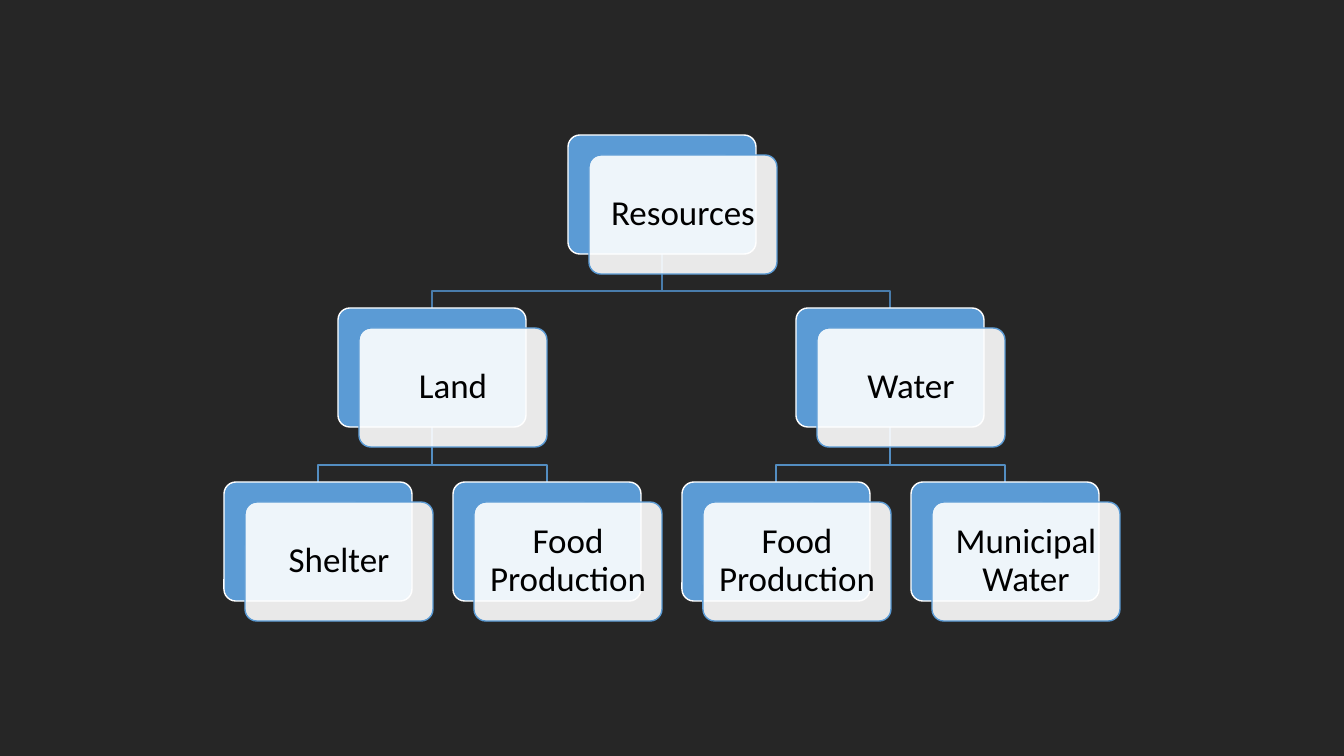
from lxml import etree
from pptx import Presentation
from pptx.dml.color import RGBColor
from pptx.enum.shapes import MSO_SHAPE
from pptx.enum.text import MSO_ANCHOR, PP_ALIGN
from pptx.oxml.ns import qn
from pptx.util import Pt

ROUNDED = MSO_SHAPE.ROUNDED_RECTANGLE
MIDDLE = MSO_ANCHOR.MIDDLE
CENTER = PP_ALIGN.CENTER

BACKGROUND = RGBColor(0x26, 0x26, 0x26)
BLUE = RGBColor(0x5B, 0x9B, 0xD5)
WHITE = RGBColor(0xFF, 0xFF, 0xFF)
BLACK = RGBColor(0x00, 0x00, 0x00)
# Connector colour below each parent level
BRANCH_COLORS = (RGBColor(0x49, 0x7C, 0xAB), RGBColor(0x53, 0x8D, 0xC1))

# Lengths in px
EMU_PER_PX = 914400 / 100.8
SLIDE_WIDTH, SLIDE_HEIGHT = 1344, 756
BOX_WIDTH, BOX_HEIGHT = 188, 119
CARD_SHIFT_X, CARD_SHIFT_Y = 21, 20
FIRST_LEFT, COLUMN_STEP = 224, 229
LEVEL_TOPS = (135, 308, 482)
BEND_GAP = 17
TEXT_INSET = 10

# Each node: label, level, column (in leaf widths), parent label
NODES = (
    ("Resources", 0, 1.5, None),
    ("Land", 1, 0.5, "Resources"),
    ("Shelter", 2, 0, "Land"),
    ("Food Production", 2, 1, "Land"),
    ("Water", 1, 2.5, "Resources"),
    ("Food Production", 2, 2, "Water"),
    ("Municipal Water", 2, 3, "Water"),
)


def px(length):
    return round(length * EMU_PER_PX)


def box_position(level, column):
    return round(FIRST_LEFT + column * COLUMN_STEP), LEVEL_TOPS[level]


def add_branch(slide, parent_position, child_position, color):
    """Draw the stepped line from a parent box to a child box."""
    start_x, child_x = (left + BOX_WIDTH // 2
                        for left, _ in (parent_position, child_position))
    start_y = parent_position[1] + BOX_HEIGHT
    child_y = child_position[1]
    bend_y = child_y - BEND_GAP
    builder = slide.shapes.build_freeform(start_x, start_y, scale=EMU_PER_PX)
    builder.add_line_segments(
        [(start_x, bend_y), (child_x, bend_y), (child_x, child_y)], close=False)
    branch = builder.convert_to_shape()
    branch.shadow.inherit = False
    branch.fill.background()
    branch.line.color.rgb = color
    branch.line.width = Pt(1)


def add_rounded_box(slide, left, top, fill_color, line_color):
    shape = slide.shapes.add_shape(
        ROUNDED, px(left), px(top), px(BOX_WIDTH), px(BOX_HEIGHT))
    shape.adjustments[0] = 0.1
    shape.shadow.inherit = False
    shape.fill.solid()
    shape.fill.fore_color.rgb = fill_color
    shape.line.color.rgb = line_color
    shape.line.width = Pt(1)
    return shape


def set_opacity(shape, percent):
    color = shape._element.spPr.find(qn("a:solidFill"))[0]
    etree.SubElement(color, qn("a:alpha")).set("val", str(percent * 1000))


def add_label(shape, text):
    frame = shape.text_frame
    frame.word_wrap = True
    frame.vertical_anchor = MIDDLE
    frame.margin_left = frame.margin_right = px(TEXT_INSET)
    frame.margin_top = frame.margin_bottom = px(TEXT_INSET)
    paragraph = frame.paragraphs[0]
    paragraph.alignment = CENTER
    paragraph.line_spacing = 0.9
    run = paragraph.add_run()
    run.text = text
    run.font.name = "Calibri"
    run.font.size = Pt(25)
    run.font.color.rgb = BLACK


def add_node(slide, text, position):
    """Draw a blue box with a translucent labelled card in front."""
    left, top = position
    add_rounded_box(slide, left, top, BLUE, WHITE)
    card = add_rounded_box(
        slide, left + CARD_SHIFT_X, top + CARD_SHIFT_Y, WHITE, BLUE)
    set_opacity(card, 90)
    add_label(card, text)


def main():
    presentation = Presentation()
    presentation.slide_width = px(SLIDE_WIDTH)
    presentation.slide_height = px(SLIDE_HEIGHT)
    slide = presentation.slides.add_slide(presentation.slide_layouts[6])
    slide.background.fill.solid()
    slide.background.fill.fore_color.rgb = BACKGROUND

    # Branches lie behind the boxes
    positions = {text: box_position(level, column)
                 for text, level, column, _ in NODES}
    for _, level, column, parent in NODES:
        if parent:
            add_branch(slide, positions[parent], box_position(level, column),
                       BRANCH_COLORS[level - 1])

    # Boxes
    for text, level, column, _ in NODES:
        add_node(slide, text, box_position(level, column))

    presentation.save("out.pptx")


if __name__ == "__main__":
    main()
